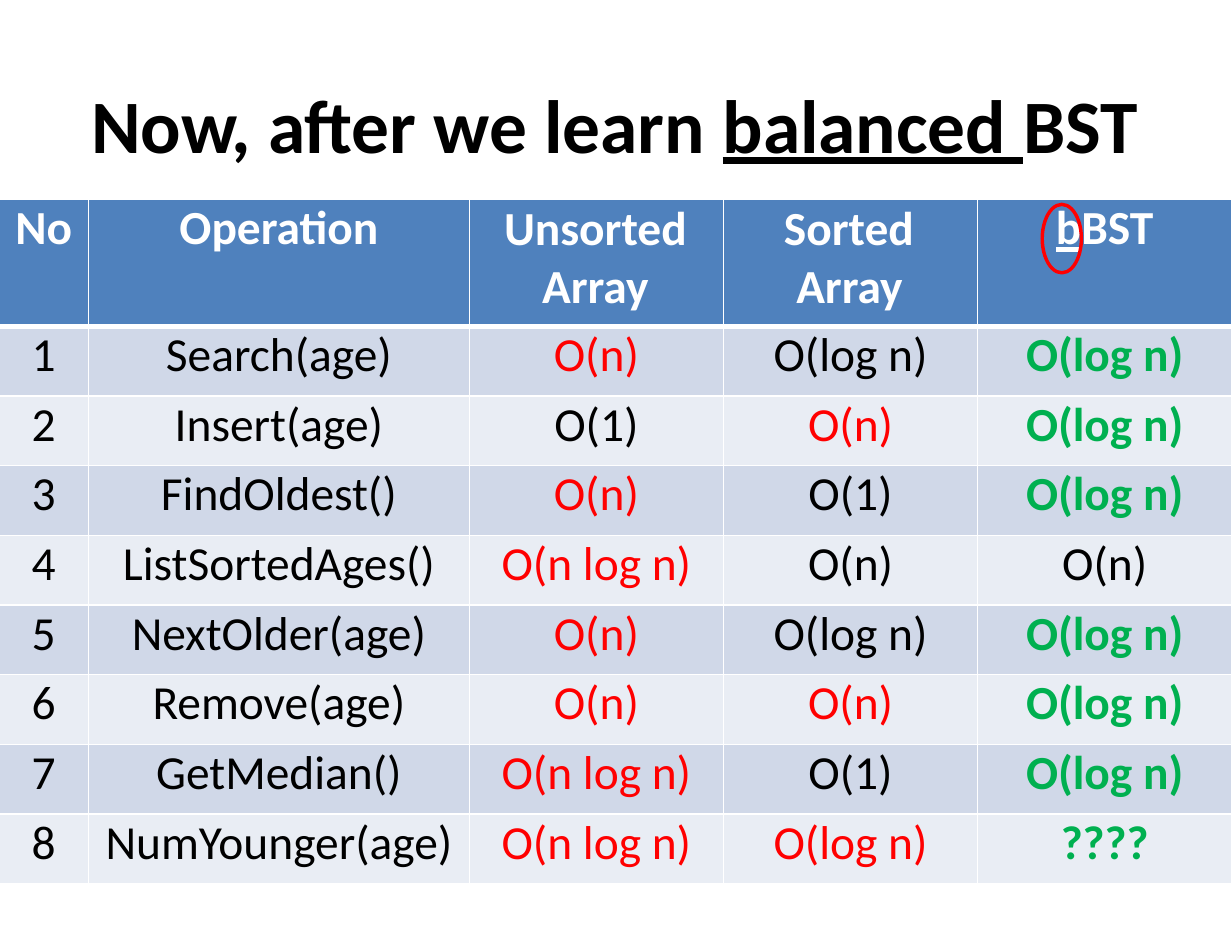
import pptx
import pptx.util
import pptx.dml.color
import pptx.enum.shapes
import pptx.enum.text
from lxml import etree
from pptx.oxml.ns import qn

Pt = pptx.util.Pt
CENTER = pptx.enum.text.PP_ALIGN.CENTER

COLORS = {
    "black": "000000", "white": "FFFFFF", "slow": "FF0000", "fast": "00B050",
    "header": "4F81BD", "odd": "D0D8E8", "even": "E9EDF4",
}
FONT = "Calibri"

# Runs are (text, underlined)
TITLE = [("Now, after we learn ", False), ("balanced ", True), ("BST", False)]
HEADERS = [
    [("No", False)],
    [("Operation", False)],
    [("Unsorted Array", False)],
    [("Sorted Array", False)],
    [("b", True), ("BST", False)],
]
# Column index: (left margin, first-line indent) of the headers that wrap
HANGING = {2: (46.8, -24.5), 3: (46.8, -7.9)}

# Operation, then (cost, tone) for unsorted array, sorted array and bBST
OPERATIONS = [
    ("Search(age)", ("O(n)", "slow"), ("O(log n)", "black"), ("O(log n)", "fast")),
    ("Insert(age)", ("O(1)", "black"), ("O(n)", "slow"), ("O(log n)", "fast")),
    ("FindOldest()", ("O(n)", "slow"), ("O(1)", "black"), ("O(log n)", "fast")),
    ("ListSortedAges()", ("O(n log n)", "slow"), ("O(n)", "black"), ("O(n)", "black")),
    ("NextOlder(age)", ("O(n)", "slow"), ("O(log n)", "black"), ("O(log n)", "fast")),
    ("Remove(age)", ("O(n)", "slow"), ("O(n)", "slow"), ("O(log n)", "fast")),
    ("GetMedian()", ("O(n log n)", "slow"), ("O(1)", "black"), ("O(log n)", "fast")),
    ("NumYounger(age)", ("O(n log n)", "slow"), ("O(log n)", "slow"), ("????", "fast")),
]

TABLE_LEFT, TABLE_TOP = -0.7, 128.2
COLUMN_WIDTHS = [57.6, 244.8, 163.4, 163.4, 163.4]
HEADER_HEIGHT, ROW_HEIGHT = 81.6, 44.8
THIN, THICK = 1.1, 3.3


def rgb(name):
    return pptx.dml.color.RGBColor.from_string(COLORS[name])


def write(para, runs, size, color, bold):
    para.font.name, para.font.size, para.font.bold = FONT, Pt(size), bold
    para.font.color.rgb = rgb(color)
    for text, underlined in runs:
        span = para.add_run()
        span.text = text
        if underlined:
            span.font.underline = True


def clear_margins(holder):
    holder.margin_left = holder.margin_right = 0
    holder.margin_top = holder.margin_bottom = 0


def set_borders(cell, top, bottom):
    """White rules; they must come before the fill in the cell properties."""
    properties = cell._tc.get_or_add_tcPr()
    widths = {"a:lnL": THIN, "a:lnR": THIN, "a:lnT": top, "a:lnB": bottom}
    for place, (tag, width) in enumerate(widths.items()):
        line = etree.Element(qn(tag), w=str(int(Pt(width))))
        fill = etree.SubElement(line, qn("a:solidFill"))
        etree.SubElement(fill, qn("a:srgbClr"), val=COLORS["white"])
        properties.insert(place, line)


def fill_cell(cell, runs, color, bold, background):
    clear_margins(cell)
    cell.fill.solid()
    cell.fill.fore_color.rgb = rgb(background)
    para = cell.text_frame.paragraphs[0]
    para.alignment = CENTER
    write(para, runs, 30.5, color, bold)
    return para


def add_title(page):
    frame = page.shapes.add_textbox(Pt(58.5), Pt(50), Pt(680), Pt(62)).text_frame
    frame.word_wrap = True
    clear_margins(frame)
    write(frame.paragraphs[0], TITLE, 48.5, "black", True)


def add_cost_table(page):
    row_count = len(OPERATIONS) + 1
    height = HEADER_HEIGHT + ROW_HEIGHT * len(OPERATIONS)
    table = page.shapes.add_table(
        row_count, len(HEADERS), Pt(TABLE_LEFT), Pt(TABLE_TOP),
        Pt(sum(COLUMN_WIDTHS)), Pt(height)).table
    for column, width in zip(table.columns, COLUMN_WIDTHS):
        column.width = Pt(width)
    for index, row in enumerate(table.rows):
        row.height = Pt(ROW_HEIGHT if index else HEADER_HEIGHT)

    for column, runs in enumerate(HEADERS):
        cell = table.cell(0, column)
        para = fill_cell(cell, runs, "white", True, "header")
        if column in HANGING:
            margin, indent = HANGING[column]
            para.alignment = pptx.enum.text.PP_ALIGN.LEFT
            para.line_spacing = 1.01
            properties = para._p.get_or_add_pPr()
            properties.set("marL", str(int(Pt(margin))))
            properties.set("indent", str(int(Pt(indent))))
        set_borders(cell, THIN, THICK)

    for number, (operation, *costs) in enumerate(OPERATIONS, 1):
        entries = [(str(number), "black"), (operation, "black"), *costs]
        for column, (text, tone) in enumerate(entries):
            cell = table.cell(number, column)
            fill_cell(cell, [(text, False)], tone, tone == "fast",
                      "odd" if number % 2 else "even")
            set_borders(cell, THICK if number == 1 else THIN, THIN)


def add_ring(page):
    """Circle the b of bBST."""
    ring = page.shapes.add_shape(
        pptx.enum.shapes.MSO_SHAPE.OVAL, Pt(670), Pt(131.4), Pt(25.2), Pt(44))
    ring.shadow.inherit = False
    ring.fill.background()
    ring.line.color.rgb = rgb("slow")
    ring.line.width = Pt(2.2)


def main():
    deck = pptx.Presentation()
    deck.slide_width, deck.slide_height = Pt(792), Pt(612)
    page = deck.slides.add_slide(deck.slide_layouts[6])
    add_title(page)
    add_cost_table(page)
    add_ring(page)
    deck.save("out.pptx")


if __name__ == "__main__":
    main()
